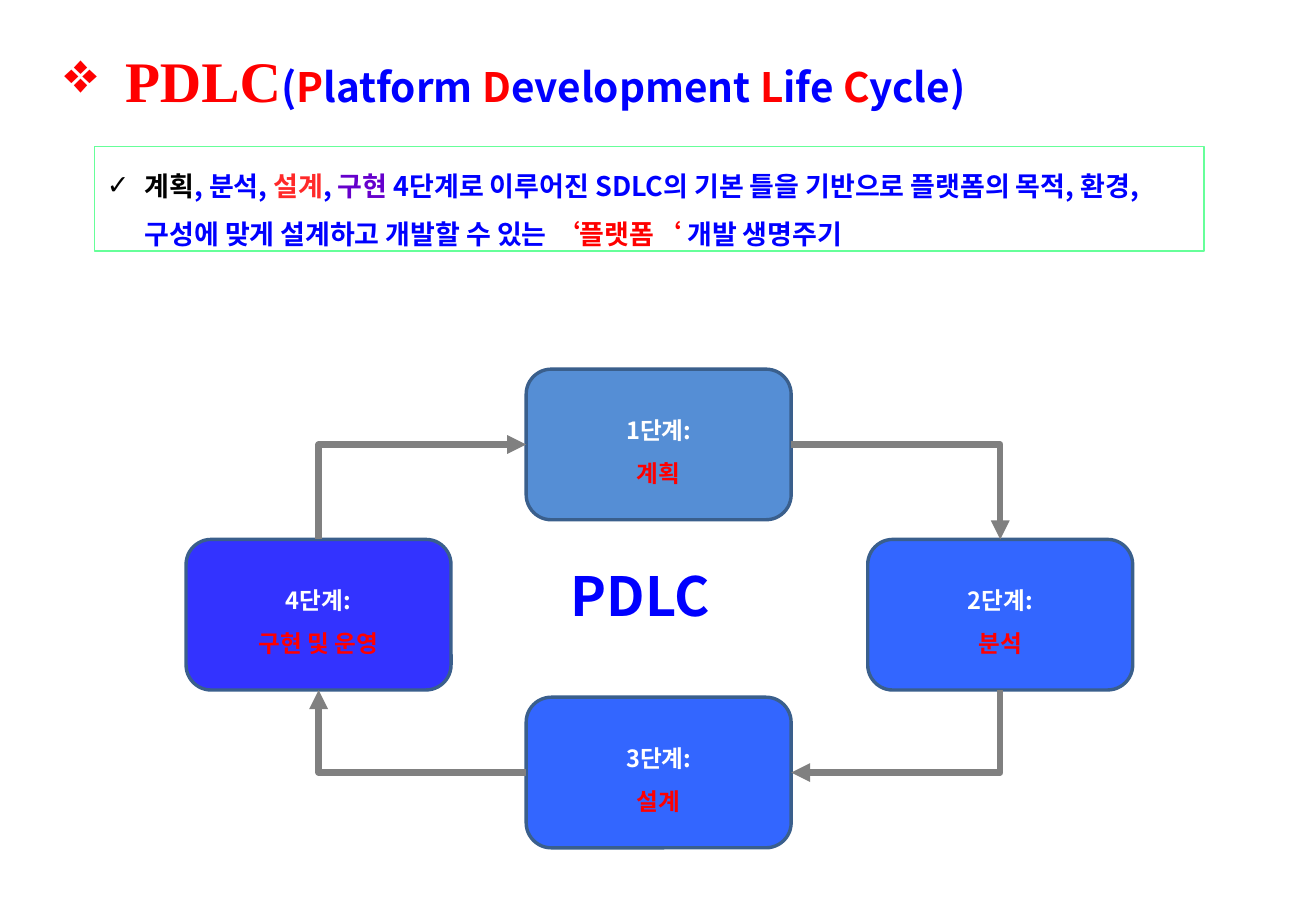
from lxml import etree
from pptx import Presentation
from pptx.dml.color import RGBColor
from pptx.enum.shapes import MSO_CONNECTOR, MSO_SHAPE
from pptx.enum.text import MSO_ANCHOR, MSO_AUTO_SIZE, PP_ALIGN
from pptx.oxml.ns import qn
from pptx.util import Cm, Pt

SANS = "Noto Sans CJK KR"
SERIF = "Times New Roman"
RED = RGBColor(0xFF, 0x00, 0x00)
BLUE = RGBColor(0x00, 0x00, 0xFF)
BLACK = RGBColor(0x00, 0x00, 0x00)
WHITE = RGBColor(0xFF, 0xFF, 0xFF)
CORAL = RGBColor(0xFF, 0x29, 0x29)
PURPLE = RGBColor(0x66, 0x00, 0xCC)
MINT = RGBColor(0x66, 0xFF, 0x99)
GRAY = RGBColor(0x80, 0x80, 0x80)
BORDER = RGBColor(0x3A, 0x5F, 0x8C)
SKY = RGBColor(0x55, 0x8E, 0xD5)
ROYAL = RGBColor(0x33, 0x66, 0xFF)
INDIGO = RGBColor(0x33, 0x33, 0xFF)


def write(paragraph, size, parts):
    """Fill a paragraph with bold (text, colour) parts in the sans font."""
    font = paragraph.font
    font.size, font.bold, font.name = Pt(size), True, SANS
    etree.SubElement(font._element, qn("a:ea"), typeface=SANS)
    for text, color in parts:
        run = paragraph.add_run()
        run.text = text
        run.font.color.rgb = color


def add_bullet(paragraph, mark, indent):
    properties = paragraph._p.get_or_add_pPr()
    properties.set("marL", str(indent))
    properties.set("indent", str(-indent))
    etree.SubElement(properties, qn("a:buChar"), char=mark)
    paragraph.space_before = Pt(0)


prs = Presentation()
prs.slide_width, prs.slide_height = Cm(27.51), Cm(19.05)
slide = prs.slides.add_slide(prs.slide_layouts[1])
shapes = slide.shapes

# Title and definition
title, definition = shapes.title, slide.placeholders[1]
for holder, (left, top, width, height) in (
    (title, (1.09, 0.81, 20, 1.7)),
    (definition, (1.98, 3.07, 23.19, 2.18)),
):
    holder.left, holder.top = Cm(left), Cm(top)
    holder.width, holder.height = Cm(width), Cm(height)
    holder.text_frame.auto_size = MSO_AUTO_SIZE.NONE
    holder.text_frame.vertical_anchor = MSO_ANCHOR.TOP

heading = title.text_frame.paragraphs[0]
heading.alignment = PP_ALIGN.LEFT
add_bullet(heading, "❖", Cm(1.27))
write(heading, 24, [
    ("PDLC", RED), ("(", BLUE), ("P", RED), ("latform ", BLUE),
    ("D", RED), ("evelopment ", BLUE), ("L", RED), ("ife ", BLUE),
    ("C", RED), ("ycle)", BLUE),
])
acronym = heading.runs[0].font
acronym.size, acronym.name = Pt(34), SERIF

definition.line.color.rgb = MINT
definition.line.width = Pt(0.75)
meaning = definition.text_frame.paragraphs[0]
add_bullet(meaning, "✓", Cm(0.79))
meaning.line_spacing = 1.5
write(meaning, 16, [
    ("계획", BLACK), (", 분석, ", BLUE), ("설계", CORAL), (", ", BLUE),
    ("구현 ", PURPLE),
    ("4단계로 이루어진 SDLC의 기본 틀을 기반으로 플랫폼의 목적, "
     "환경, 구성에 맞게 설계하고 개발할 수 있는 ", BLUE),
    ("‘플랫폼‘ ", RED), ("개발 생명주기", BLUE),
])

# Stages, clockwise from the top
stages = []
for number, (name, left, top, color) in enumerate((
    ("계획", 11, 7.72, SKY),
    ("분석", 18.14, 11.28, ROYAL),
    ("설계", 11, 14.58, ROYAL),
    ("구현 및 운영", 3.89, 11.28, INDIGO),
), start=1):
    stage = shapes.add_shape(
        MSO_SHAPE.ROUNDED_RECTANGLE, Cm(left), Cm(top), Cm(5.54), Cm(3.15))
    stage.shadow.inherit = False
    stage.fill.solid()
    stage.fill.fore_color.rgb = color
    stage.line.color.rgb = BORDER
    stage.line.width = Pt(2)
    frame = stage.text_frame
    frame.vertical_anchor = MSO_ANCHOR.MIDDLE
    for paragraph, part in (
        (frame.paragraphs[0], (f"{number}단계:", WHITE)),
        (frame.add_paragraph(), (name, RED)),
    ):
        paragraph.alignment = PP_ALIGN.CENTER
        paragraph.line_spacing = 1.5
        write(paragraph, 14, [part])
    stages.append(stage)

center = shapes.add_textbox(Cm(11.68), Cm(11.63), Cm(3.45), Cm(1.63))
center.text_frame.word_wrap = False
write(center.text_frame.paragraphs[0], 32, [("PDLC", BLUE)])

# Arrows: each is the first one turned a further quarter
for turn, (start_side, end_side) in enumerate(((3, 0), (2, 3), (1, 2), (0, 1))):
    arrow = shapes.add_connector(MSO_CONNECTOR.ELBOW, 0, 0, 0, 0)
    arrow.begin_connect(stages[turn], start_side)
    arrow.end_connect(stages[(turn + 1) % 4], end_side)
    middle_x = (arrow.begin_x + arrow.end_x) // 2
    middle_y = (arrow.begin_y + arrow.end_y) // 2
    width, height = arrow.width, arrow.height
    if turn % 2:
        width, height = height, width
    arrow.left, arrow.top = middle_x - width // 2, middle_y - height // 2
    arrow.width, arrow.height = width, height

    properties = arrow._element.spPr
    placement = properties.find(qn("a:xfrm"))
    for flip in ("flipH", "flipV"):
        placement.attrib.pop(flip, None)
    placement.set("rot", str(turn * 90 * 60000))
    properties.find(qn("a:prstGeom")).set("prst", "bentConnector2")
    arrow.line.color.rgb = GRAY
    arrow.line.width = Pt(3.75)
    etree.SubElement(arrow.line._get_or_add_ln(), qn("a:tailEnd"), type="triangle")
    etree.SubElement(properties, qn("a:effectLst"))

prs.save("out.pptx")
